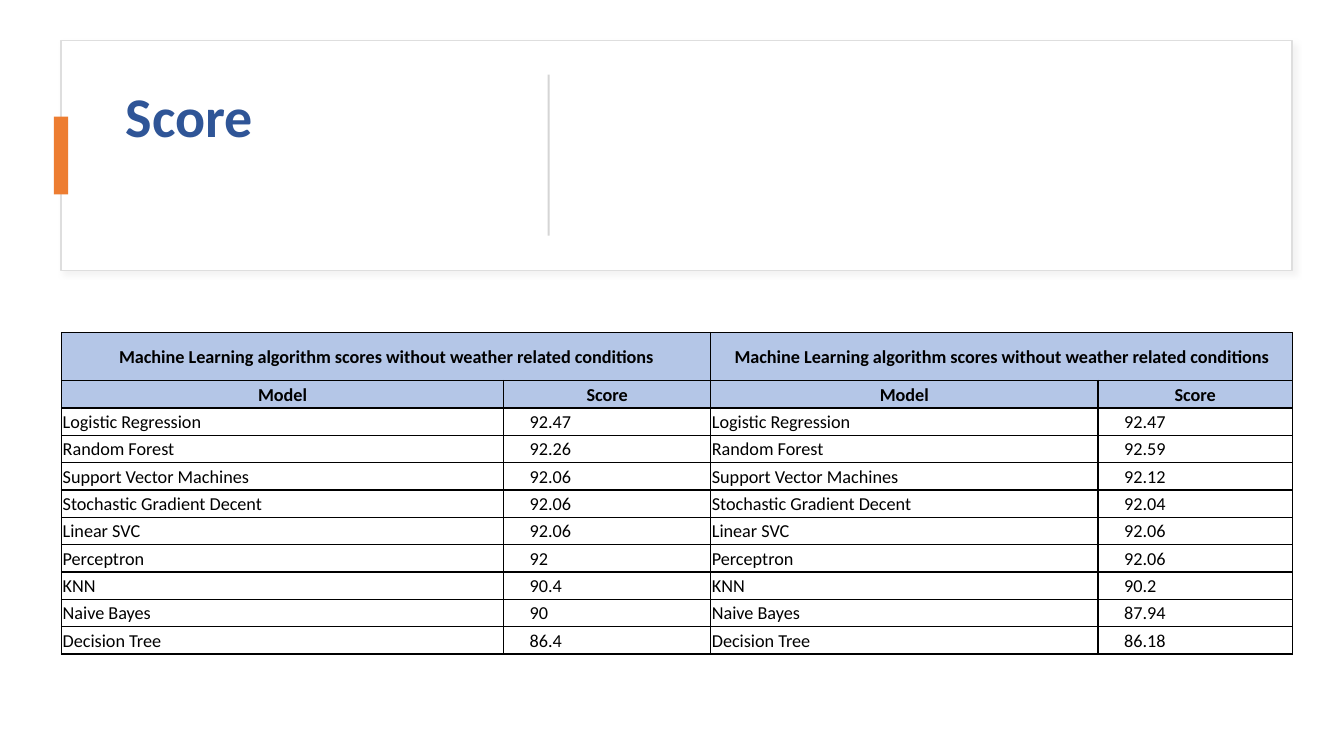
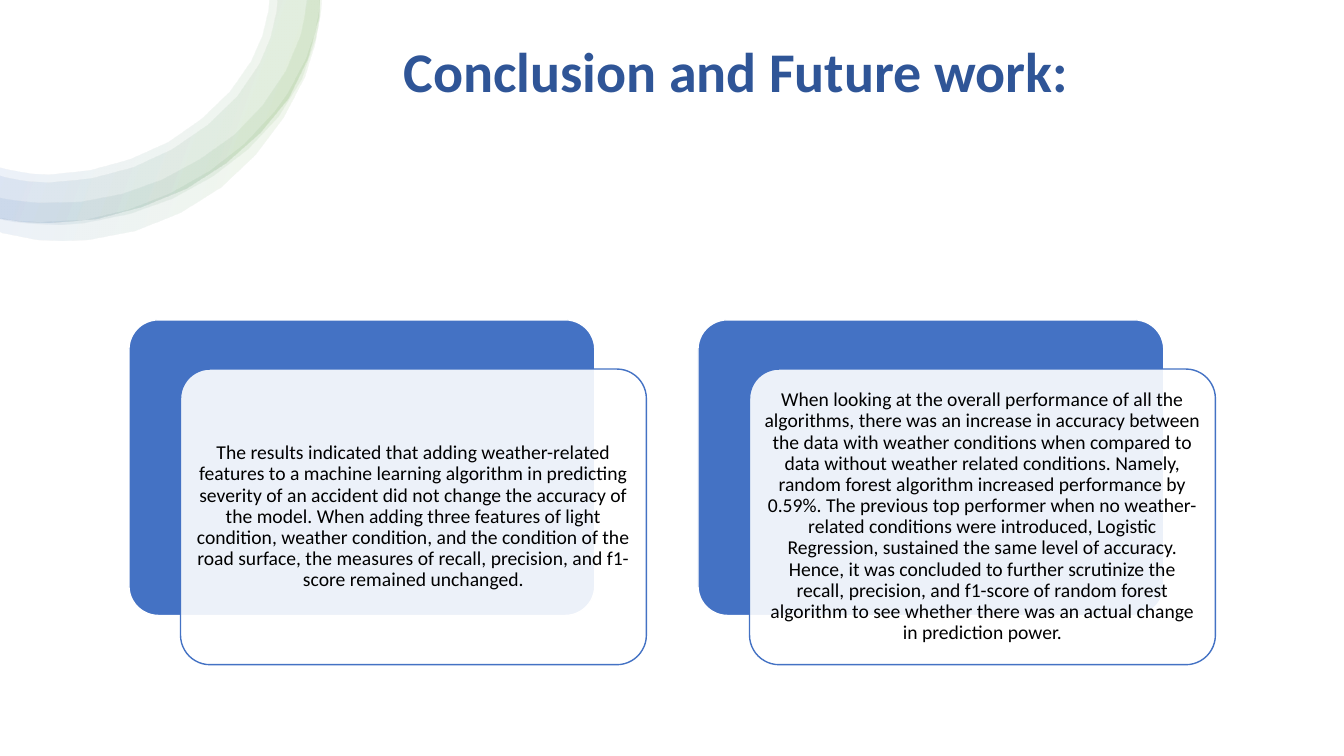
from dataclasses import dataclass

from lxml.etree import SubElement
from pptx import Presentation
from pptx.dml.color import RGBColor
from pptx.enum.shapes import MSO_SHAPE
from pptx.enum.text import MSO_ANCHOR, PP_ALIGN
from pptx.oxml import parse_xml
from pptx.oxml.ns import nsdecls, qn
from pptx.util import Cm, Pt


@dataclass(frozen=True)
class Theme:
    font: str = "Calibri"
    white: str = "FFFFFF"
    black: str = "000000"
    title: str = "2F5597"
    blue: str = "4472C4"
    green: str = "70AD47"
    accent: str = "ED7D31"
    head: str = "B4C6E7"
    frame: str = "DEDEDE"
    rule: str = "D5D5D5"
    shade: str = "C5C3C3"
    big: int = 40
    body: int = 14
    cell: int = 13


T = Theme()
WIDE, HIGH = 33.87, 19.05

# Table content: model, score on the left, score on the right
HEAD = "Machine Learning algorithm scores without weather related conditions"
SCORES = [
    ("Logistic Regression", "92.47", "92.47"),
    ("Random Forest", "92.26", "92.59"),
    ("Support Vector Machines", "92.06", "92.12"),
    ("Stochastic Gradient Decent", "92.06", "92.04"),
    ("Linear SVC", "92.06", "92.06"),
    ("Perceptron", "92", "92.06"),
    ("KNN", "90.4", "90.2"),
    ("Naive Bayes", "90", "87.94"),
    ("Decision Tree", "86.4", "86.18"),
]

# Card content
CARDS = [
    "The results indicated that adding weather-related features to a machine "
    "learning algorithm in predicting severity of an accident did not change "
    "the accuracy of the model. When adding three features of light condition, "
    "weather condition, and the condition of the road surface, the measures of "
    "recall, precision, and f1-score remained unchanged.",
    "When looking at the overall performance of all the algorithms, there was "
    "an increase in accuracy between the data with weather conditions when "
    "compared to data without weather related conditions. Namely, random "
    "forest algorithm increased performance by 0.59%. The previous top "
    "performer when no weather-related conditions were introduced, Logistic "
    "Regression, sustained the same level of accuracy. Hence, it was concluded "
    "to further scrutinize the recall, precision, and f1-score of random "
    "forest algorithm to see whether there was an actual change in prediction "
    "power.",
]

# Ring edges, from the slide's top to its left side, in 1/100 inch
RIM = [(317, 0), (316, 18), (305, 59), (286, 98), (258, 132), (224, 162),
       (185, 187), (141, 205), (96, 217), (49, 221), (26, 220), (4, 217),
       (0, 216)]
BANDS = [
    (RIM, [(267, 0), (266, 11), (260, 36), (249, 61), (228, 91), (200, 118),
           (167, 141), (129, 158), (89, 169), (49, 173), (31, 172), (13, 169),
           (0, 166)]),
    (RIM, [(275, 0), (274, 12), (268, 38), (257, 64), (235, 96), (206, 124),
           (171, 148), (132, 166), (90, 177), (49, 181), (30, 180), (12, 177),
           (0, 174)]),
    ([(317, 0), (317, 17), (313, 38), (299, 79), (276, 116), (246, 148),
      (211, 175), (171, 197), (129, 212), (84, 221), (61, 223), (38, 222),
      (15, 220), (0, 217)],
     [(304, 0), (302, 15), (298, 35), (283, 71), (260, 105), (232, 134),
      (198, 158), (161, 178), (122, 192), (81, 200), (39, 201), (18, 199),
      (0, 196)]),
    ([(319, 0), (318, 12), (312, 45), (302, 77), (281, 117), (253, 154),
      (219, 186), (179, 211), (134, 229), (86, 238), (62, 239), (38, 238),
      (2, 231), (0, 230)],
     [(316, 0), (316, 12), (312, 33), (303, 59), (285, 93), (272, 111),
      (242, 143), (207, 170), (168, 192), (127, 208), (84, 218), (39, 220),
      (17, 219), (0, 216)]),
]


def rgb(code):
    return RGBColor.from_string(code)


def write(frame, text, size, color, bold=False, align=PP_ALIGN.LEFT, space=1.0):
    """Put one styled run into a text frame."""
    para = frame.paragraphs[0]
    para.alignment = align
    para.line_spacing = space
    run = para.add_run()
    run.text = text
    font = run.font
    font.name, font.size, font.bold = T.font, Pt(size), bold
    font.color.rgb = rgb(color)


def inset(part, left, top, right, low):
    part.margin_left, part.margin_top = Cm(left), Cm(top)
    part.margin_right, part.margin_bottom = Cm(right), Cm(low)


def label(slide, box, pads):
    """Empty wrapping text box, centred in height between its insets."""
    frame = slide.shapes.add_textbox(*map(Cm, box)).text_frame
    frame.word_wrap = True
    frame.vertical_anchor = MSO_ANCHOR.MIDDLE
    inset(frame, *pads)
    return frame


def title(slide, text, box, left, align):
    """Title whose low inset lifts it above the middle of its box."""
    frame = label(slide, box, (left, 0.13, 0.25, 1.83))
    write(frame, text, T.big, T.title, True, align, 0.9)


def block(slide, box, fill, line=None, kind=MSO_SHAPE.RECTANGLE):
    """Flat shape with a plain fill and an optional outline."""
    shape = slide.shapes.add_shape(kind, *map(Cm, box))
    shape.shadow.inherit = False
    shape.fill.solid()
    shape.fill.fore_color.rgb = rgb(fill)
    if line:
        shape.line.color.rgb = rgb(line)
        shape.line.width = Pt(1)
    else:
        shape.line.fill.background()
    return shape


def shade(shape):
    """Soft shadow to the lower right."""
    glow = SubElement(shape._element.spPr.find(qn("a:effectLst")),
                      qn("a:outerShdw"), blurRad=str(Pt(4)), dist=str(Pt(3)),
                      dir="2700000", algn="tl", rotWithShape="0")
    tint = SubElement(glow, qn("a:srgbClr"), val=T.shade)
    SubElement(tint, qn("a:alpha"), val="20000")


def border(cell):
    """Thin black line on all four sides of a cell."""
    props = cell._tc.get_or_add_tcPr()
    for spot, side in enumerate("LRTB"):
        props.insert(spot, parse_xml(
            f'<a:ln{side} {nsdecls("a")} w="{Pt(1)}"><a:solidFill>'
            f'<a:srgbClr val="{T.black}"/></a:solidFill></a:ln{side}>'))


def grid(slide, box, cols, rows, data):
    """Score table with two heading rows."""
    table = slide.shapes.add_table(len(rows), len(cols), *map(Cm, box)).table
    for col, width in zip(table.columns, cols):
        col.width = Cm(width)
    for row, height in zip(table.rows, rows):
        row.height = Cm(height)
    for r, line in enumerate(data):
        top = r < 2
        for c, text in enumerate(line):
            cell = table.cell(r, c)
            cell.fill.solid()
            cell.fill.fore_color.rgb = rgb(T.head if top else T.white)
            border(cell)
            cell.vertical_anchor = MSO_ANCHOR.MIDDLE
            inset(cell, 0.03 if top or c % 2 == 0 else 0.66, 0.03, 0.03, 0)
            if text:
                write(cell.text_frame, text, T.cell, T.black, top,
                      PP_ALIGN.CENTER if top else PP_ALIGN.LEFT)
    for c in (0, 2):
        table.cell(0, c).merge(table.cell(0, c + 1))


def band(slide, rim, core):
    """Pale see-through part of the corner ring."""
    dots = rim + core[::-1]
    pen = slide.shapes.build_freeform(*dots[0], scale=Cm(2.54) / 100)
    pen.add_line_segments(dots[1:], close=True)
    shape = pen.convert_to_shape()
    shape.shadow.inherit = False
    shape.line.fill.background()
    stops = "".join(
        f'<a:gs pos="{at * 1000}"><a:srgbClr val="{code}">'
        f'<a:alpha val="10000"/></a:srgbClr></a:gs>'
        for at, code in ((2, T.white), (16, T.green), (85, T.blue), (100, T.white)))
    shape._element.spPr.find(qn("a:custGeom")).addnext(parse_xml(
        f'<a:gradFill {nsdecls("a")} rotWithShape="1"><a:gsLst>{stops}</a:gsLst>'
        f'<a:lin ang="{200 * 60000}" scaled="0"/></a:gradFill>'))


def card(slide, left, top, text):
    """Blue back plate, see-through front plate and the text on it."""
    wide, high = 11.74, 7.45
    back = block(slide, (left, top, wide, high), T.blue, T.white,
                 MSO_SHAPE.ROUNDED_RECTANGLE)
    front = block(slide, (left + 1.3, top + 1.24, wide, high),
                  T.white, T.blue, MSO_SHAPE.ROUNDED_RECTANGLE)
    for plate in (back, front):
        plate.adjustments[0] = 0.1
    tint = front._element.spPr.find(qn("a:solidFill")).find(qn("a:srgbClr"))
    SubElement(tint, qn("a:alpha"), val="90000")
    frame = label(slide, (left + 1.52, top + 1.46, 11.3, 7.01), [0.15] * 4)
    write(frame, text, T.body, T.black, align=PP_ALIGN.CENTER, space=0.9)


def score(slide):
    # Heading panel
    shade(block(slide, (1.54, 1.02, 31.02, 5.8), T.white, T.frame))
    title(slide, "Score", (2.9, 1.57, 9.88, 4.57), 0.27, PP_ALIGN.LEFT)
    block(slide, (1.36, 2.94, 0.36, 1.96), T.accent)
    block(slide, (13.8, 1.88, 0.05, 4.06), T.rule)
    # Score table
    data = [(HEAD, "", HEAD, ""), ("Model", "Score") * 2]
    data += [(name, old, name, new) for name, old, new in SCORES]
    rows = [1.21] + [0.69] * (len(data) - 1)
    grid(slide, (1.55, 8.38, 31.02, sum(rows)), (11.14, 5.22, 9.76, 4.9), rows, data)


def finish(slide):
    # Backdrop and title
    block(slide, (0, 0, WIDE, HIGH), T.white)
    title(slide, "Conclusion and Future work:", (3.28, 0.89, 27.31, 3.68),
          3.47, PP_ALIGN.CENTER)
    # Corner ring
    for rim, core in BANDS:
        band(slide, rim, core)
    # Cards
    for spot, text in enumerate(CARDS):
        card(slide, 3.25 + spot * 14.34, 8.06, text)


def main():
    deck = Presentation()
    deck.slide_width, deck.slide_height = Cm(WIDE), Cm(HIGH)
    for fill in (score, finish):
        fill(deck.slides.add_slide(deck.slide_layouts[6]))
    deck.save("out.pptx")


if __name__ == "__main__":
    main()
